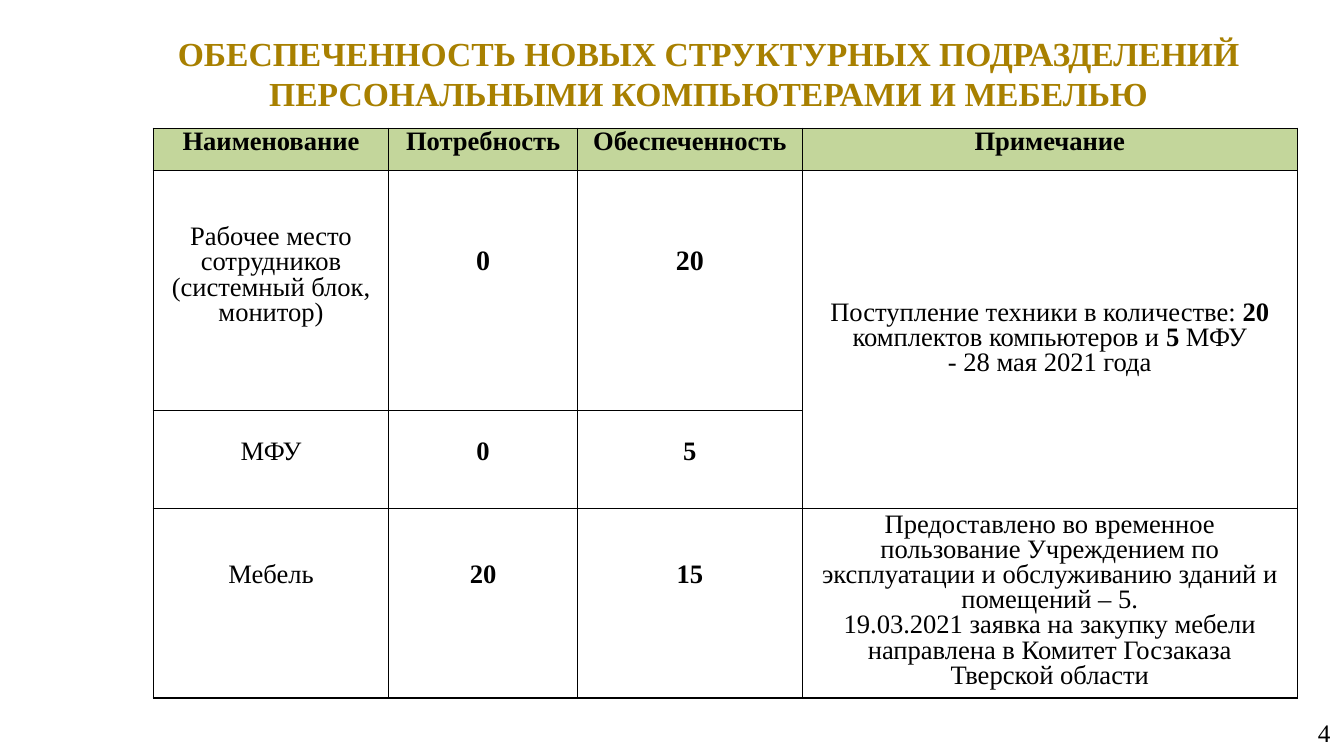
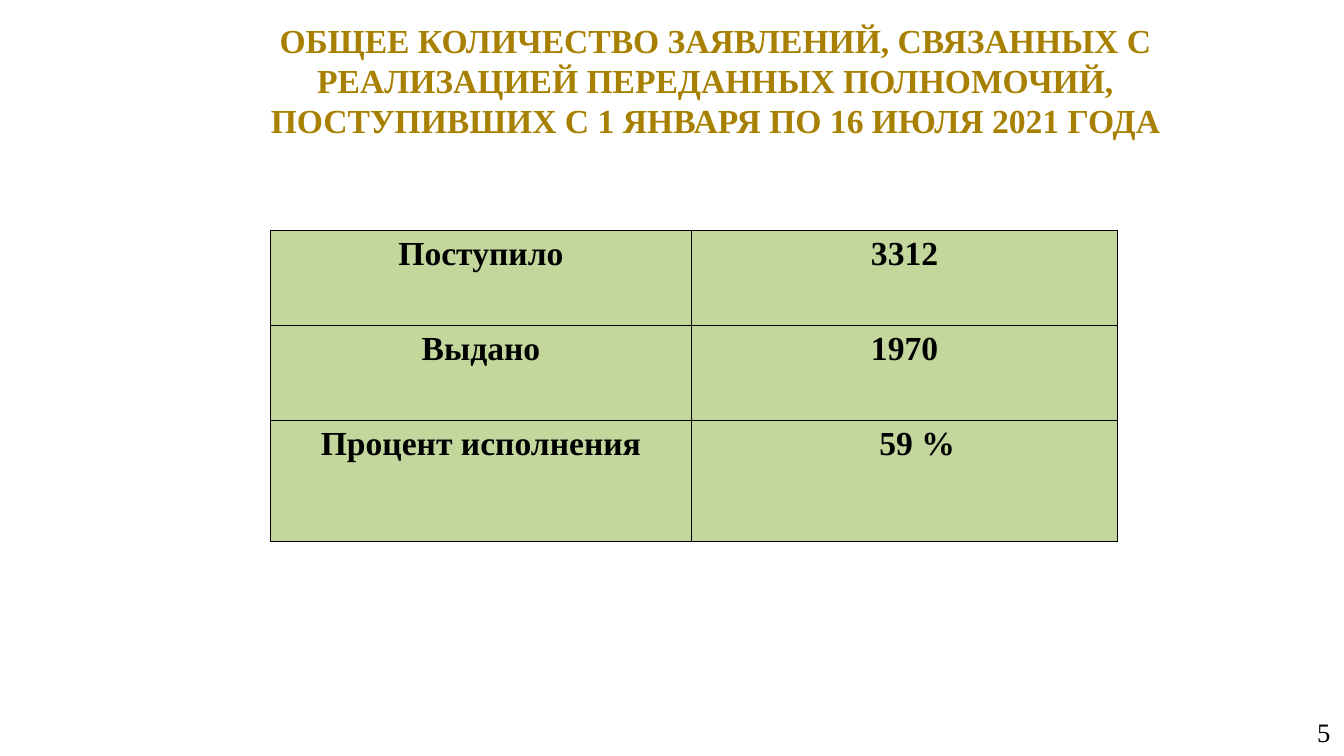
from dataclasses import dataclass

from lxml import etree
from pptx import Presentation
from pptx import util as u
from pptx.dml.color import RGBColor
from pptx.enum import text
from pptx.oxml.ns import qn

COLORS = {"title": "A88000", "text": "000000", "header": "C3D69B", "border": "000000"}
FONT = "Times New Roman"
TITLE_ONLY = 5
BODY_LINE = 18
SIDE_INSET, TOP_INSET = 0.33, 0.13


@dataclass
class Cell:
    """Each paragraph is a list of (text, bold) runs; insets are in centimetres."""
    paragraphs: list
    size: float = 19
    line: float | None = BODY_LINE
    fill: str | None = None
    top: float = TOP_INSET
    left: float = SIDE_INSET


def plain(*lines):
    return [[(line, False)] for line in lines]


def bold(*lines):
    return [[(line, True)] for line in lines]


def lowered(lines, paragraphs, size=19):
    """Body cell whose text starts the given number of lines below the top."""
    top = TOP_INSET + lines * u.Pt(BODY_LINE).cm
    return Cell(paragraphs, size, top=top)


def add_run(para, wording, size, color="text", is_bold=False):
    span = para.add_run()
    span.text = wording
    span.font.name = FONT
    span.font.size = u.Pt(size)
    span.font.bold = is_bold
    span.font.color.rgb = RGBColor.from_string(COLORS[color])


def set_frame(frame):
    frame.word_wrap = True
    frame.auto_size = text.MSO_AUTO_SIZE.NONE
    frame.vertical_anchor = text.MSO_ANCHOR.MIDDLE
    frame.margin_left = frame.margin_right = u.Cm(0.33)
    frame.margin_top = frame.margin_bottom = u.Cm(0.17)


def set_title(page, left, top, lines):
    title = page.shapes.title
    title.left, title.top = u.Cm(left), u.Cm(top)
    title.width, title.height = u.Cm(29.06), u.Cm(2.51)
    set_frame(title.text_frame)
    para = title.text_frame.paragraphs[0]
    para.alignment = text.PP_ALIGN.CENTER
    for index, line in enumerate(lines):
        if index:
            para.add_line_break()
        add_run(para, line, 24, "title", True)


def add_page_number(page, number, size):
    box = page.shapes.add_textbox(u.Cm(25.96), u.Cm(17.96), u.Cm(7.9), u.Cm(0.99))
    set_frame(box.text_frame)
    para = box.text_frame.paragraphs[0]
    para.alignment = text.PP_ALIGN.RIGHT
    add_run(para, str(number), size)


def set_borders(cell):
    properties = cell._tc.get_or_add_tcPr()
    for side in ("lnL", "lnR", "lnT", "lnB"):
        line = etree.SubElement(properties, qn(f"a:{side}"), w=str(u.Pt(0.96)))
        fill = etree.SubElement(line, qn("a:solidFill"))
        etree.SubElement(fill, qn("a:srgbClr"), val=COLORS["border"])


def fill_cell(cell, content):
    cell.margin_left, cell.margin_right = u.Cm(content.left), u.Cm(SIDE_INSET)
    cell.margin_top, cell.margin_bottom = u.Cm(content.top), u.Cm(TOP_INSET)
    cell.vertical_anchor = text.MSO_ANCHOR.TOP
    if content.fill:
        cell.fill.solid()
        cell.fill.fore_color.rgb = RGBColor.from_string(COLORS[content.fill])
    else:
        cell.fill.background()
    frame = cell.text_frame
    for index, runs in enumerate(content.paragraphs):
        para = frame.add_paragraph() if index else frame.paragraphs[0]
        para.alignment = text.PP_ALIGN.CENTER
        if content.line:
            para.line_spacing = u.Pt(content.line)
        for wording, is_bold in runs:
            add_run(para, wording, content.size, is_bold=is_bold)


def add_table(page, left, top, widths, heights, rows):
    """Draw a bordered table; None in rows continues the cell above."""
    table = page.shapes.add_table(
        len(rows), len(widths), u.Cm(left), u.Cm(top),
        u.Cm(sum(widths)), u.Cm(sum(heights))).table
    table.first_row = table.horz_banding = False
    for column, width in zip(table.columns, widths):
        column.width = u.Cm(width)
    for row, height in zip(table.rows, heights):
        row.height = u.Cm(height)
    for r, contents in enumerate(rows):
        for c, content in enumerate(contents):
            cell = table.cell(r, c)
            set_borders(cell)
            if content:
                fill_cell(cell, content)
            else:
                cell.fill.background()
                table.cell(r - 1, c).merge(cell)


def add_equipment_page(deck):
    page = deck.slides.add_slide(deck.slide_layouts[TITLE_ONLY])
    set_title(page, 3.33, 0.58, [
        "ОБЕСПЕЧЕННОСТЬ НОВЫХ СТРУКТУРНЫХ ПОДРАЗДЕЛЕНИЙ "
        "ПЕРСОНАЛЬНЫМИ КОМПЬЮТЕРАМИ И МЕБЕЛЬЮ"])
    add_page_number(page, 4, 18)
    headings = ["Наименование", "Потребность", "Обеспеченность", "Примечание"]
    delivery = [
        [("Поступление техники в количестве: ", False), ("20", True),
         (" комплектов компьютеров и ", False), ("5", True), (" МФУ", False)],
        *plain("- 28 мая 2021 года")]
    furniture = plain(
        "Предоставлено во временное пользование Учреждением по эксплуатации "
        "и обслуживанию зданий и помещений – 5.",
        "19.03.2021 заявка на закупку мебели направлена в Комитет Госзаказа "
        "Тверской области")
    workplace = plain("Рабочее место сотрудников", "(системный блок,", "монитор)")
    rows = [
        [Cell(bold(heading), line=16, fill="header") for heading in headings],
        [lowered(2, workplace), lowered(3, bold("0"), 20),
         lowered(3, bold("20"), 20), lowered(5, delivery)],
        [lowered(1, plain("МФУ")), lowered(1, bold("0")), lowered(1, bold("5")), None],
        [lowered(2, plain("Мебель")), lowered(2, bold("20")),
         lowered(2, bold("15")), Cell(furniture)],
    ]
    add_table(page, 3.86, 3.23, [5.94, 4.75, 5.67, 12.47],
              [1.07, 6.05, 2.46, 4.78], rows)


def add_applications_page(deck):
    page = deck.slides.add_slide(deck.slide_layouts[TITLE_ONLY])
    set_title(page, 3.5, 0.76, [
        "ОБЩЕЕ КОЛИЧЕСТВО ЗАЯВЛЕНИЙ, СВЯЗАННЫХ С РЕАЛИЗАЦИЕЙ ПЕРЕДАННЫХ ПОЛНОМОЧИЙ,",
        "ПОСТУПИВШИХ С 1 ЯНВАРЯ ПО 16 ИЮЛЯ 2021 ГОДА"])
    add_page_number(page, 5, 19)
    totals = [("Поступило", "3312"), ("Выдано", "1970"), ("Процент исполнения", "59 %")]
    rows = [[Cell(bold(wording), 24, None, "header") for wording in total]
            for total in totals]
    rows[-1][-1].left = 0.96
    add_table(page, 6.82, 5.8, [10.6, 10.75], [2.4, 2.4, 3.05], rows)


def main():
    deck = Presentation()
    deck.slide_width, deck.slide_height = u.Cm(33.87), u.Cm(19.05)
    add_equipment_page(deck)
    add_applications_page(deck)
    deck.save("out.pptx")


if __name__ == "__main__":
    main()
